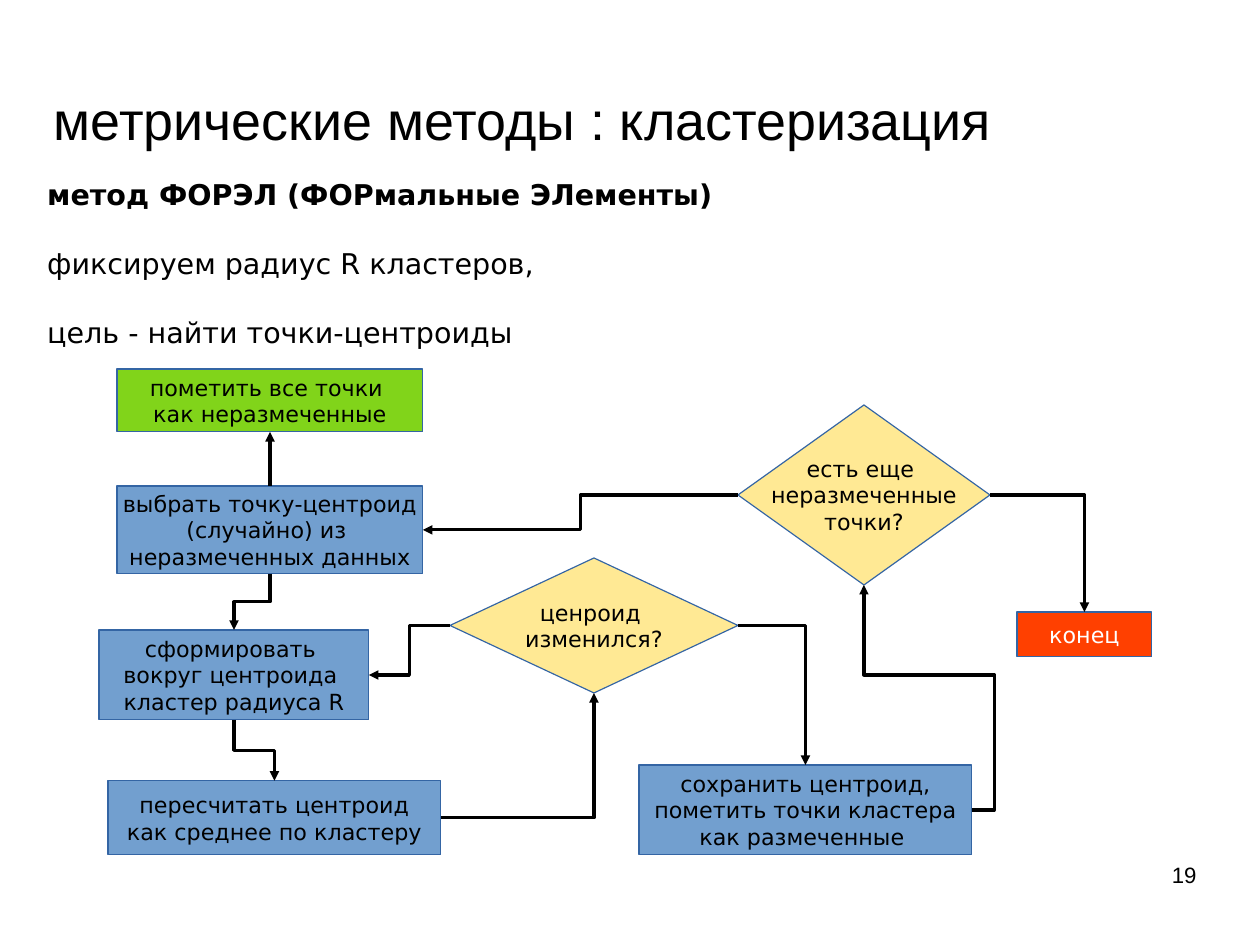
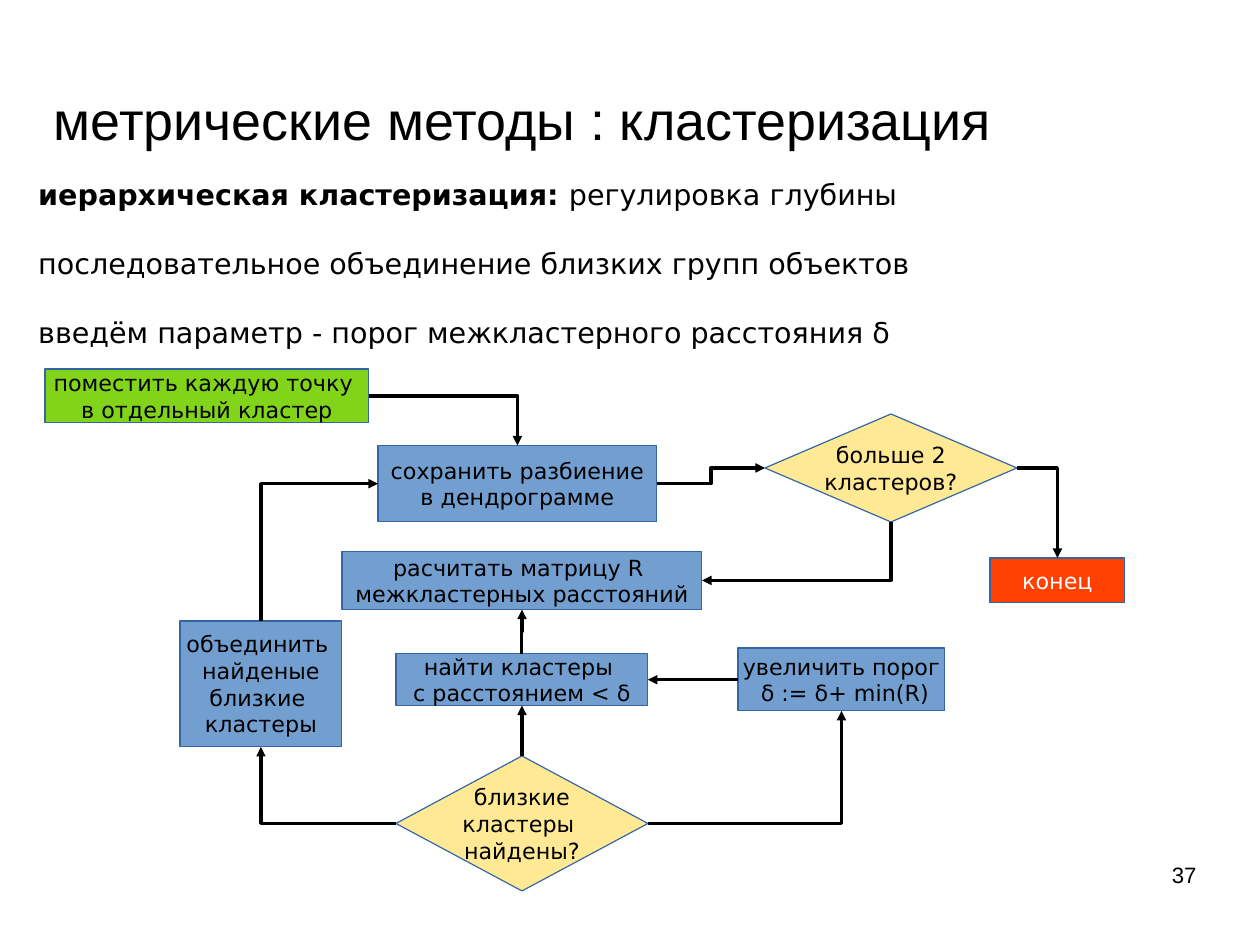
from pptx import Presentation
from pptx.dml.color import RGBColor
from pptx.enum.shapes import MSO_CONNECTOR, MSO_SHAPE
from pptx.enum.text import MSO_ANCHOR, PP_ALIGN
from pptx.oxml.ns import qn
from pptx.util import Cm, Pt
from lxml import etree

COLORS = {
    "text": "000000",
    "light": "FFFFFF",
    "start": "81D41A",
    "step": "729FCF",
    "decision": "FFE994",
    "end": "FF4000",
    "outline": "3465A4",
}
TITLE = "метрические методы : кластеризация"
TOP, LEFT, BOTTOM, RIGHT = range(4)

SLIDES = [
    {
        "number": "19",
        "body_left": 0.8,
        "body_width": 16,
        "bold": "метод ФОРЭЛ (ФОРмальные ЭЛементы)",
        "body": ["", "фиксируем радиус R кластеров,", "цель - найти точки-центроиды"],
        "nodes": {
            "mark all": ("start", 2.6, 8.2, 6.8, 1.4, ["пометить все точки ", "как неразмеченные"]),
            "choose": ("step", 2.6, 10.8, 6.8, 1.95,
                       ["выбрать точку-центроид", "(случайно) из ", "неразмеченных данных"]),
            "form": ("step", 2.2, 14, 6, 2,
                     ["сформировать ", "вокруг центроида ", "кластер радиуса R"]),
            "recalculate": ("step", 2.4, 17.35, 7.4, 1.65,
                            ["пересчитать центроид", "как среднее по кластеру"]),
            "changed": ("decision", 10, 12.4, 6.4, 3, ["ценроид ", "изменился?"]),
            "save": ("step", 14.2, 17, 7.4, 2,
                     ["сохранить центроид,", "пометить точки кластера", "как размеченные "]),
            "unmarked left": ("decision", 16.4, 9, 5.6, 4,
                              ["есть еще ", "неразмеченные", "точки?"]),
            "end": ("end", 22.6, 13.6, 3, 1, ["конец"]),
        },
        "arrows": [
            ("choose", TOP, "mark all", BOTTOM),
            ("choose", BOTTOM, "form", TOP),
            ("form", BOTTOM, "recalculate", TOP),
            ("recalculate", RIGHT, "changed", BOTTOM),
            ("changed", LEFT, "form", RIGHT),
            ("changed", RIGHT, "save", TOP),
            ("save", RIGHT, "unmarked left", BOTTOM, (-20900, 60000)),
            ("unmarked left", LEFT, "choose", RIGHT),
            ("unmarked left", RIGHT, "end", TOP),
        ],
    },
    {
        "number": "37",
        "body_left": 0.6,
        "body_width": 21.2,
        "bold": "иерархическая кластеризация: ",
        "body": ["регулировка глубины", "последовательное объединение близких групп объектов",
                 "введём параметр - порог межкластерного расстояния δ"],
        "nodes": {
            "separate": ("start", 1, 8.2, 7.2, 1.2,
                         ["поместить каждую точку ", "в отдельный кластер"]),
            "save": ("step", 8.4, 9.9, 6.2, 1.7, ["сохранить разбиение", "в дендрограмме"]),
            "more than two": ("decision", 17, 9.2, 5.6, 2.4, ["больше 2", "кластеров?"]),
            "end": ("end", 22, 12.4, 3, 1, ["конец"]),
            "matrix": ("step", 7.6, 12.25, 8, 1.3,
                       ["расчитать матрицу R ", "межкластерных расстояний"]),
            "find": ("step", 8.8, 14.53, 5.6, 1.15, ["найти кластеры ", "с расстоянием < δ"]),
            "raise": ("step", 16.4, 14.4, 4.6, 1.4, ["увеличить порог", " δ := δ+ min(R)"]),
            "found": ("decision", 8.8, 16.8, 5.6, 3, ["близкие", "кластеры ", "найдены?"]),
            "merge": ("step", 4, 13.8, 3.6, 2.8,
                      ["объединить ", "найденые", "близкие ", "кластеры"]),
        },
        "arrows": [
            ("separate", RIGHT, "save", TOP),
            ("save", RIGHT, "more than two", LEFT),
            ("more than two", RIGHT, "end", TOP),
            ("more than two", BOTTOM, "matrix", RIGHT),
            ("find", TOP, "matrix", BOTTOM),
            ("found", TOP, "find", BOTTOM),
            ("found", RIGHT, "raise", BOTTOM),
            ("raise", LEFT, "find", RIGHT),
            ("found", LEFT, "merge", BOTTOM),
            ("merge", TOP, "save", LEFT),
        ],
    },
]


def write(shape, lines, size=14, font="DejaVu Sans", color="text", bold="",
          align=PP_ALIGN.LEFT, anchor=MSO_ANCHOR.TOP, wrap=True, margins=(0.25, 0.13), gap=0):
    frame = shape.text_frame
    frame.word_wrap = wrap
    frame.vertical_anchor = anchor
    frame.margin_left = frame.margin_right = Cm(margins[0])
    frame.margin_top = frame.margin_bottom = Cm(margins[1])
    for index, line in enumerate(lines):
        paragraph = frame.add_paragraph() if index else frame.paragraphs[0]
        paragraph.alignment = align
        if index:
            paragraph.space_before = Cm(gap)
        pieces = [(bold, True), (line, False)] if index == 0 else [(line, False)]
        for text, is_bold in pieces:
            if text:
                run = paragraph.add_run()
                run.text = text
                run.font.name = font
                run.font.size = Pt(size)
                run.font.bold = is_bold
                run.font.color.rgb = RGBColor.from_string(COLORS[color])


def connect(slide, source, source_side, target, target_side, adjust=()):
    connector = slide.shapes.add_connector(MSO_CONNECTOR.ELBOW, 0, 0, 0, 0)
    connector.begin_connect(source, source_side)
    connector.end_connect(target, target_side)
    connector.line.color.rgb = RGBColor.from_string(COLORS["text"])
    connector.line.width = Cm(0)
    properties = connector.element.spPr
    line = properties.find(qn("a:ln"))
    etree.SubElement(line, qn("a:tailEnd"), type="triangle")
    etree.SubElement(properties, qn("a:effectLst"))

    across = connector.end_x - connector.begin_x
    down = connector.end_y - connector.begin_y
    vertical = source_side in (TOP, BOTTOM)
    same_axis = vertical == (target_side in (TOP, BOTTOM))
    geometry = properties.find(qn("a:prstGeom"))
    if across == 0:
        geometry.set("prst", "line")
        return
    if adjust:
        geometry.set("prst", "bentConnector4")
        guides = geometry.find(qn("a:avLst"))
        for index, value in enumerate(adjust, 1):
            etree.SubElement(guides, qn("a:gd"), name=f"adj{index}", fmla=f"val {value}")
    else:
        geometry.set("prst", "bentConnector3" if same_axis else "bentConnector2")
    if vertical:
        center_x = connector.begin_x + across // 2
        center_y = connector.begin_y + down // 2
        connector.width, connector.height = abs(down), abs(across)
        connector.left = center_x - abs(down) // 2
        connector.top = center_y - abs(across) // 2
        transform = properties.find(qn("a:xfrm"))
        transform.set("rot", "5400000")
        transform.set("flipH", str(int(down < 0)))
        transform.set("flipV", str(int(across > 0)))


presentation = Presentation()
presentation.slide_width = Cm(28)
presentation.slide_height = Cm(21)

for content in SLIDES:
    slide = presentation.slides.add_slide(presentation.slide_layouts[6])

    title = slide.shapes.add_textbox(Cm(1.2), Cm(1.98), Cm(22.2), Cm(1.35))
    write(title, [TITLE], size=33.9, font="Arial", anchor=MSO_ANCHOR.MIDDLE, margins=(0, 0))

    body = slide.shapes.add_textbox(Cm(content["body_left"]), Cm(3.8),
                                    Cm(content["body_width"]), Cm(4.1))
    write(body, content["body"], size=18, bold=content["bold"], gap=0.77)

    shapes = {}
    for name, (kind, left, top, width, height, lines) in content["nodes"].items():
        preset = MSO_SHAPE.DIAMOND if kind == "decision" else MSO_SHAPE.RECTANGLE
        shape = slide.shapes.add_shape(preset, Cm(left), Cm(top), Cm(width), Cm(height))
        shape.shadow.inherit = False
        shape.fill.solid()
        shape.fill.fore_color.rgb = RGBColor.from_string(COLORS[kind])
        shape.line.color.rgb = RGBColor.from_string(COLORS["outline"])
        shape.line.width = Cm(0)
        write(shape, lines, color="light" if kind == "end" else "text",
              align=PP_ALIGN.CENTER, anchor=MSO_ANCHOR.MIDDLE, wrap=False)
        shapes[name] = shape

    for source, source_side, target, target_side, *adjust in content["arrows"]:
        connect(slide, shapes[source], source_side, shapes[target], target_side, *adjust)

    number = slide.shapes.add_textbox(Cm(20.07), Cm(19.13), Cm(6.52), Cm(1.45))
    write(number, [content["number"]], font="Arial", align=PP_ALIGN.RIGHT, margins=(0, 0))

presentation.save("out.pptx")
